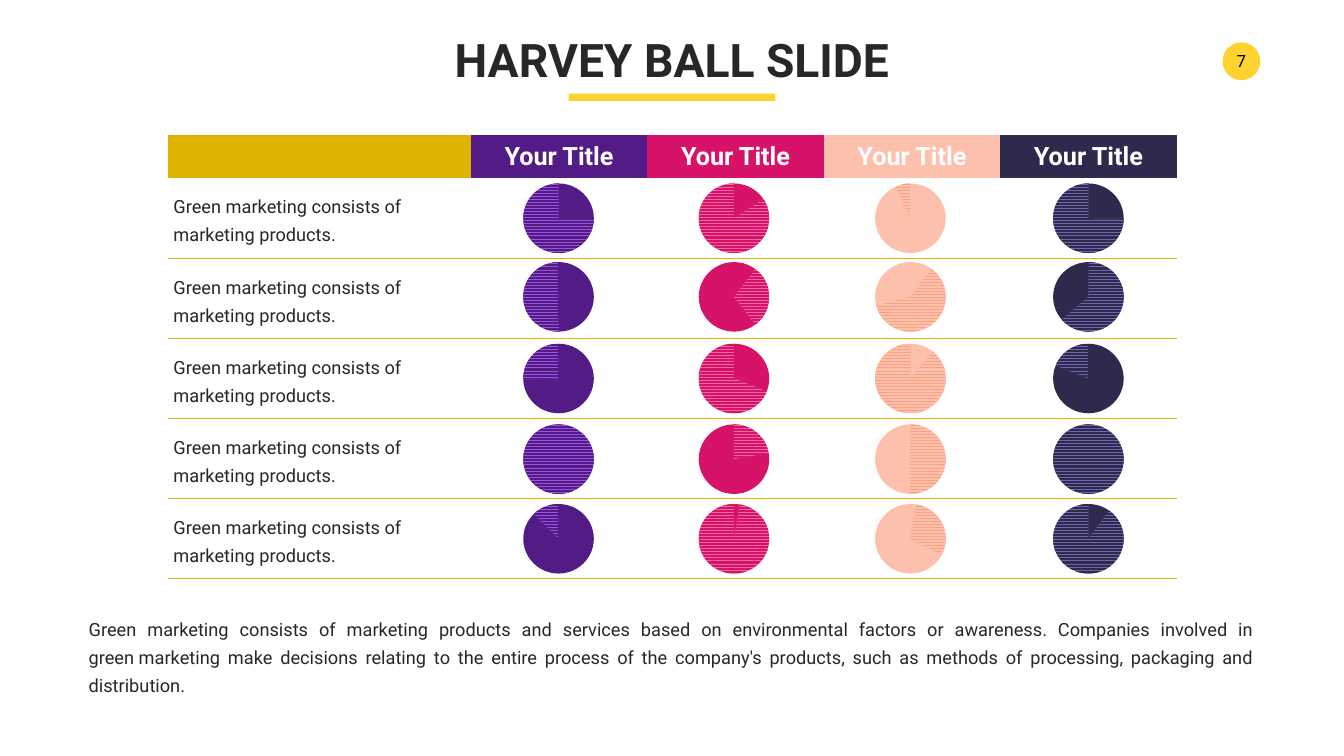
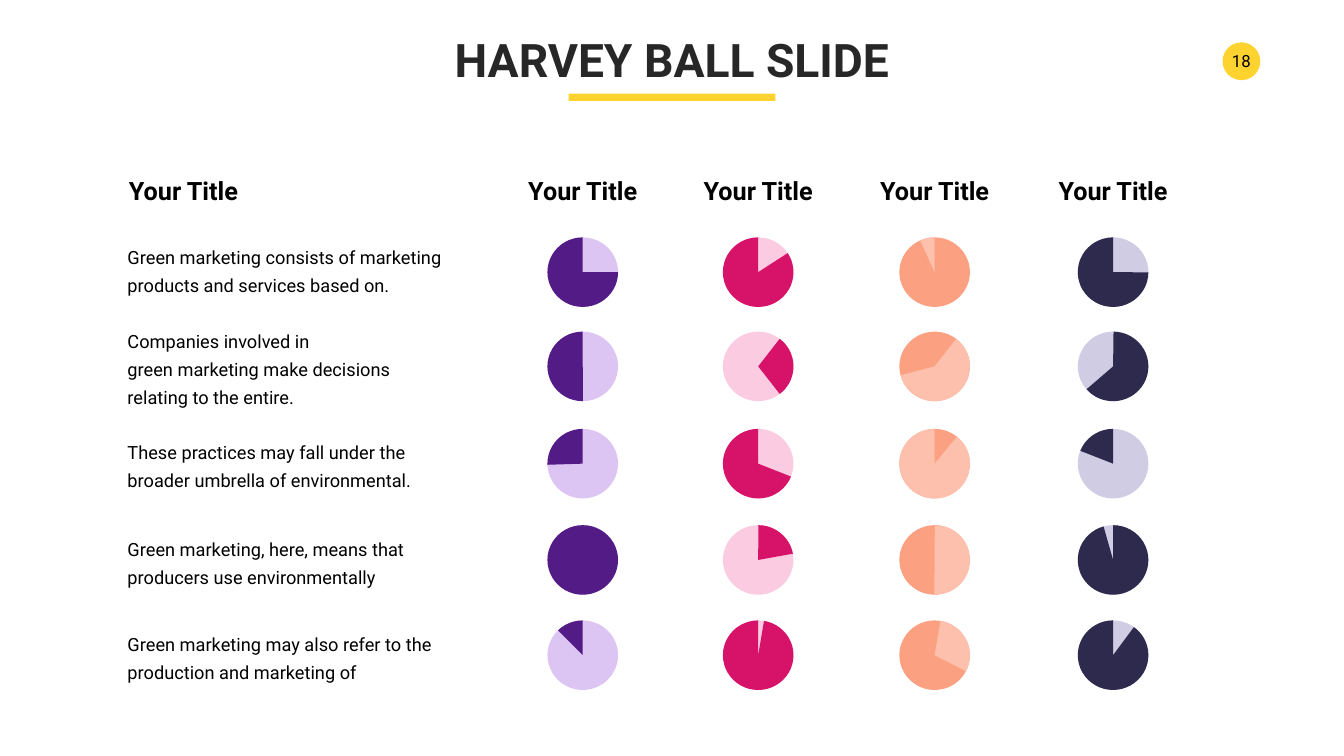
"""Build two Harvey ball comparison slides: one in a table, one in a free grid."""
from lxml import etree
from pptx import Presentation
from pptx.dml.color import RGBColor
from pptx.enum.dml import MSO_PATTERN
from pptx.enum.shapes import MSO_SHAPE
from pptx.enum.text import MSO_ANCHOR, MSO_AUTO_SIZE, PP_ALIGN
from pptx.oxml import parse_xml
from pptx.util import Inches, Pt

OVAL, PIE, RECTANGLE = MSO_SHAPE.OVAL, MSO_SHAPE.PIE, MSO_SHAPE.RECTANGLE
ZIG_ZAG = MSO_PATTERN.ZIG_ZAG
TOP, MIDDLE = MSO_ANCHOR.TOP, MSO_ANCHOR.MIDDLE
GROW = MSO_AUTO_SIZE.SHAPE_TO_FIT_TEXT
LEFT, CENTER, JUSTIFY = PP_ALIGN.LEFT, PP_ALIGN.CENTER, PP_ALIGN.JUSTIFY

DRAWING_NS = "http://schemas.openxmlformats.org/drawingml/2006/main"
PLAIN_TABLE_STYLE = "{2D5ABB26-0587-4C30-8999-92F81FD0307C}"
HARD_SPACE = chr(160)
YELLOW, GOLD, INK, BLACK, WHITE = "FED330", "E1B301", "272727", "000000", "FFFFFF"
PURPLE, PINK, PEACH, NAVY = "531B86", "D71269", "FDC0AC", "2E2A4D"
COLUMN_COLORS = [PURPLE, PINK, PEACH, NAVY]
STRIPE_COLORS = ["9A51DC", "F266A4", "FCA082", "6F67AC"]
PALE_COLORS = ["DDC5F3", "FBCCE1", "FCA082", "CFCCE3"]
BALL_WIDTH, BALL_HEIGHT = 1.4, 1.38
TABLE_HEIGHT, HEADER_HEIGHT = 8.8, 0.86
FULL = (270.28, 270.27)
WEDGES = [
    [(0, 270), (89.55, 270), (178.2, 270), (270.28, 270), (225.14, 270)],
    [(327.12, 270), (307.89, 52.02), (21.5, 270), (270.28, 349.81), (279.64, 270)],
    [(245.57, 270), (307.89, 165.42), (309.58, 270), (270.28, 90.62), (279.64, 27.11)],
    [(0.31, 270), (270.73, 139.24), (201.42, 270), FULL, (306.52, 270)],
]


def add_figure(slide, kind, left, top, width, height, color):
    """Add a flat preset shape without outline or shadow."""
    figure = slide.shapes.add_shape(
        kind, Inches(left), Inches(top), Inches(width), Inches(height))
    figure.shadow.inherit = False
    figure.line.fill.background()
    figure.fill.solid()
    figure.fill.fore_color.rgb = RGBColor.from_string(color)
    return figure


def write(frame, text, size, color, bold=False, align=LEFT, leading=None):
    """Set the single paragraph of a text frame and its format."""
    frame.text = text
    paragraph = frame.paragraphs[0]
    paragraph.alignment = align
    if leading:
        paragraph.line_spacing = Pt(leading)
    paragraph.font.name = "Roboto"
    paragraph.font.size = Pt(size)
    paragraph.font.bold = bold
    paragraph.font.color.rgb = RGBColor.from_string(color)


deck = Presentation()
deck.slide_width, deck.slide_height = Inches(26.66), Inches(15)

slides = []
for number in ("7", "18"):
    slide = deck.slides.add_slide(deck.slide_layouts[5])
    slides.append(slide)
    heading = slide.shapes.title
    heading.left, heading.top = Inches(8.76), Inches(0.57)
    heading.width, heading.height = Inches(9.14), Inches(1.21)
    write(heading.text_frame, "HARVEY BALL SLIDE", 66, INK, True, CENTER)
    heading.text_frame.word_wrap = False
    heading.text_frame.auto_size = GROW
    heading.text_frame.vertical_anchor = TOP
    add_figure(slide, RECTANGLE, 11.28, 1.86, 4.1, 0.14, YELLOW)
    badge = add_figure(slide, OVAL, 24.25, 0.84, 0.75, 0.75, YELLOW)
    frame = badge.text_frame
    frame.margin_left = frame.margin_right = Inches(0.05)
    frame.margin_top = frame.margin_bottom = Inches(0.05)
    frame.vertical_anchor = MIDDLE
    write(frame, number, 24, BLACK, align=CENTER)
table_slide, grid_slide = slides

table_frame = table_slide.shapes.add_table(
    6, 5, Inches(3.34), Inches(2.68), Inches(20), Inches(TABLE_HEIGHT))
comparison = table_frame.table
comparison.first_row = comparison.horz_banding = False
style_id = comparison._tbl.tblPr.find(f"{{{DRAWING_NS}}}tableStyleId")
style_id.text = PLAIN_TABLE_STYLE
for index, column in enumerate(comparison.columns):
    column.width = Inches(3.5 if index else 6)
body_height = (TABLE_HEIGHT - HEADER_HEIGHT) / 5
for index, row in enumerate(comparison.rows):
    row.height = Inches(body_height if index else HEADER_HEIGHT)

for index, color in enumerate([GOLD] + COLUMN_COLORS):
    cell = comparison.cell(0, index)
    cell.vertical_anchor = MIDDLE
    cell.fill.solid()
    cell.fill.fore_color.rgb = RGBColor.from_string(color)
    if index:
        write(cell.text_frame, "Your Title", 36, WHITE, True, CENTER)

rule = parse_xml(
    f'<a:lnB xmlns:a="{DRAWING_NS}" w="12700"><a:solidFill>'
    f'<a:srgbClr val="{GOLD}"/></a:solidFill></a:lnB>')
for row_index in range(1, 6):
    label = comparison.cell(row_index, 0)
    label.vertical_anchor = MIDDLE
    write(label.text_frame, "Green marketing consists of marketing products.",
          26, INK, leading=40)
    for column_index in range(5):
        cell = comparison.cell(row_index, column_index)
        cell.fill.background()
        cell._tc.get_or_add_tcPr().insert(0, parse_xml(etree.tostring(rule)))

table_lefts, table_tops = [10.38, 13.86, 17.36, 20.89], [3.64, 5.2, 6.82, 8.42, 10]
grid_lefts, grid_tops = [10.86, 14.34, 17.84, 21.38], [4.71, 6.58, 8.51, 10.42, 12.31]
for slide, lefts, tops, ball_colors in (
        (table_slide, table_lefts, table_tops, COLUMN_COLORS),
        (grid_slide, grid_lefts, grid_tops, PALE_COLORS)):
    for column_index, left in enumerate(lefts):
        for top, angles in zip(tops, WEDGES[column_index]):
            place = (left, top, BALL_WIDTH, BALL_HEIGHT)
            add_figure(slide, OVAL, *place, ball_colors[column_index])
            wedge = add_figure(slide, PIE, *place, COLUMN_COLORS[column_index])
            if slide is grid_slide and angles == FULL:
                angles = (270.28, 254.15)
            for position, degrees in enumerate(angles):
                wedge.adjustments[position] = degrees * 0.6
            if slide is table_slide:
                wedge.fill.patterned()
                wedge.fill.pattern = ZIG_ZAG
                wedge.fill.fore_color.rgb = RGBColor.from_string(COLUMN_COLORS[column_index])
                wedge.fill.back_color.rgb = RGBColor.from_string(STRIPE_COLORS[column_index])

summary = (
    "Green marketing consists of marketing products and services based on environmental "
    f"factors or awareness. Companies involved in green{HARD_SPACE}marketing make decisions "
    "relating to the entire process of the company's products, such as methods of "
    f"processing, packaging and distribution.{HARD_SPACE}")
descriptions = [
    (4.74, f"Green marketing consists of marketing products{HARD_SPACE}and services based on."),
    (6.68, f"Companies involved in green{HARD_SPACE}marketing make decisions "
           "relating to the entire."),
    (8.61, "These practices may fall under the broader umbrella of environmental."),
    (10.52, "Green marketing, here, means that producers use environmentally"),
    (12.41, f"Green marketing may also refer to the production and marketing of{HARD_SPACE}"),
]
passages = [(table_slide, 1.66, 12.12, 23.33, 1.73, summary, INK, JUSTIFY)]
for top, description in descriptions:
    passages.append((grid_slide, 2.43, top, 6.48, 1.17, description, BLACK, LEFT))
for slide, left, top, width, height, text, color, align in passages:
    passage = slide.shapes.add_textbox(
        Inches(left), Inches(top), Inches(width), Inches(height)).text_frame
    passage.word_wrap = True
    passage.auto_size = GROW
    passage.vertical_anchor = MIDDLE
    write(passage, text, 26, color, align=align, leading=40)

for left, align in [(2.46, LEFT)] + [(left - 0.5, CENTER) for left in grid_lefts]:
    column_title = grid_slide.shapes.add_textbox(
        Inches(left), Inches(3.43), Inches(2.4), Inches(0.71)).text_frame
    column_title.word_wrap = False
    column_title.auto_size = GROW
    write(column_title, "Your Title", 36, BLACK, True, align)

deck.save("out.pptx")
